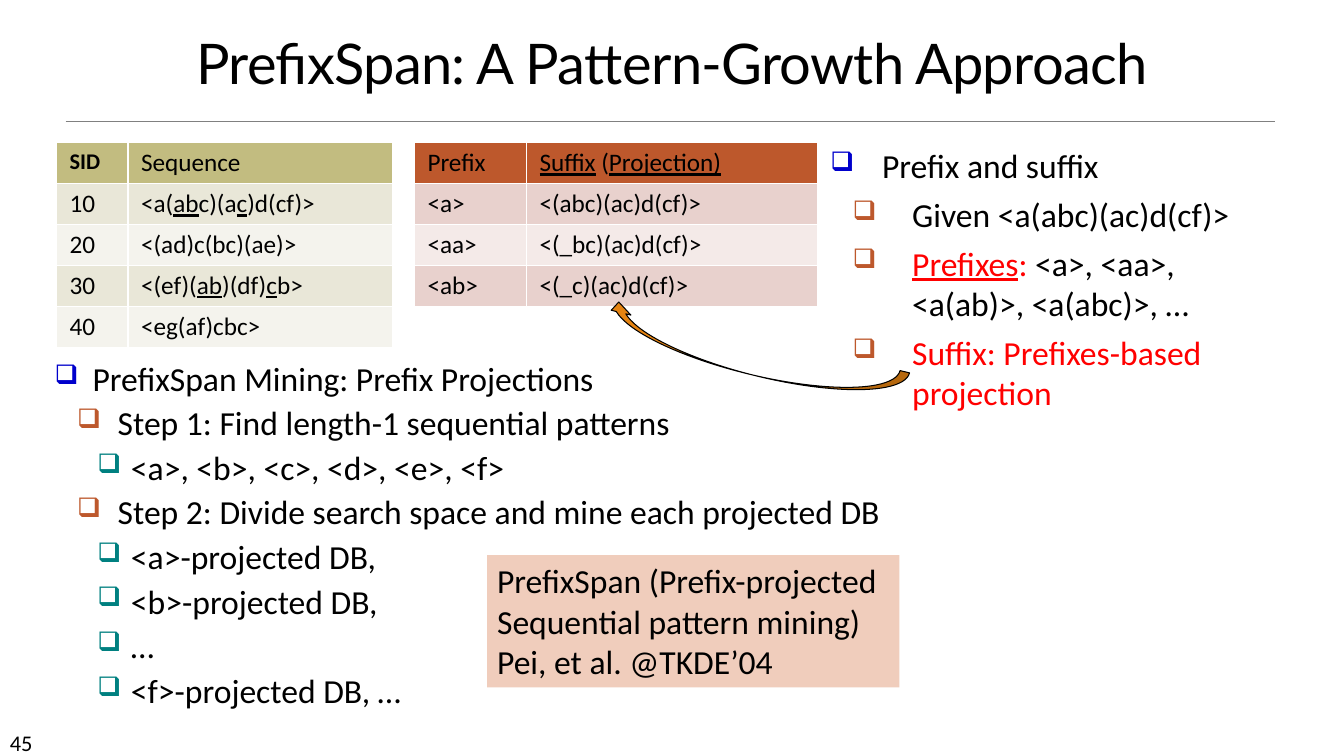
from dataclasses import dataclass
from lxml.etree import SubElement
from pptx import Presentation
from pptx.dml.color import RGBColor
from pptx.enum.shapes import MSO_CONNECTOR, MSO_SHAPE
from pptx.enum.text import MSO_ANCHOR, PP_ALIGN
from pptx.oxml.ns import qn
from pptx.util import Pt


@dataclass
class Theme:
    title_font: str = "Lato"
    body_font: str = "Calibri"
    title_size: int = 40
    body_size: int = 24
    table_size: int = 18
    small_size: int = 16
    ink: str = "000000"
    accent: str = "FF0000"
    rule: str = "808080"
    arrow: str = "E48312"
    note: str = "F0CDBC"
    bullets: tuple = ("0000CC", "BD582C", "008080")
    sequence_fills: tuple = ("C2BC80", "E9E7D8", "F4F3ED")
    suffix_fills: tuple = ("BD582C", "E8D1CD", "F4EAE8")


theme = Theme()


def write(p, text, size=theme.body_size, color=theme.ink, font=theme.body_font,
          bold=False, spacing=None):
    """Add text to a paragraph; parts between bars are underlined."""
    for i, part in enumerate(text.split("|")):
        if not part:
            continue
        r = p.add_run()
        r.text = part
        r.font.name = font
        r.font.size = Pt(size)
        r.font.bold = bold
        r.font.underline = i % 2 == 1
        r.font.color.rgb = RGBColor.from_string(color)
        if spacing is not None:
            r.font._element.set("spc", str(spacing))


def add_text_box(s, left, top, width, height):
    tf = s.shapes.add_textbox(Pt(left), Pt(top), Pt(width), Pt(height)).text_frame
    tf.word_wrap = True
    return tf


prs = Presentation()
prs.slide_width, prs.slide_height = Pt(960), Pt(540)
s = prs.slides.add_slide(prs.slide_layouts[6])

# Title, rule and page number
tf = add_text_box(s, 16, 12, 928, 60)
tf.vertical_anchor = MSO_ANCHOR.BOTTOM
p = tf.paragraphs[0]
p.alignment = PP_ALIGN.CENTER
p.line_spacing = 0.85
write(p, "PrefixSpan: A Pattern-Growth Approach", size=theme.title_size,
      font=theme.title_font, spacing=-50)

rule = s.shapes.add_connector(MSO_CONNECTOR.STRAIGHT, Pt(46.8), Pt(86.6), Pt(910.8), Pt(86.6))
rule.line.color.rgb = RGBColor.from_string(theme.rule)
rule.line.width = Pt(0.5)
SubElement(rule._element.spPr, qn("a:effectLst"))

tf = add_text_box(s, 0, 517, 84, 22)
write(tf.paragraphs[0], "45", size=theme.small_size)

# Tables: header fill first, then two alternating row fills
sequences = [("SID", "Sequence"),
             ("10", "<a(|ab|c)(a|c|)d(cf)>"),
             ("20", "<(ad)c(bc)(ae)>"),
             ("30", "<(ef)(|ab|)(df)|c|b>"),
             ("40", "<eg(af)cbc>")]
projections = [("Prefix", "|Suffix| (|Projection)|"),
               ("<a>", "<(abc)(ac)d(cf)>"),
               ("<aa>", "<(_bc)(ac)d(cf)>"),
               ("<ab>", "<(_c)(ac)d(cf)>")]
row_height = 29.2
for left, widths, rows, fills in [
        (40.4, (51, 189), sequences, theme.sequence_fills),
        (296, (80, 208), projections, theme.suffix_fills)]:
    table = s.shapes.add_table(len(rows), 2, Pt(left), Pt(102), Pt(sum(widths)),
                               Pt(row_height * len(rows))).table
    for column, width in zip(table.columns, widths):
        column.width = Pt(width)
    for i, row in enumerate(rows):
        table.rows[i].height = Pt(row_height)
        fill = fills[0] if i == 0 else fills[2 - i % 2]
        for j, text in enumerate(row):
            cell = table.cell(i, j)
            cell.margin_left = cell.margin_right = Pt(9.4)
            cell.fill.solid()
            cell.fill.fore_color.rgb = RGBColor.from_string(fill)
            is_id = text == "SID"
            write(cell.text_frame.paragraphs[0], text, bold=is_id,
                  size=theme.small_size if is_id else theme.table_size)

# Curved arrow from the suffix definition to the projection table
arrow = s.shapes.add_shape(MSO_SHAPE.CURVED_LEFT_ARROW, Pt(525), Pt(143.3), Pt(28), Pt(221))
arrow.rotation = 103.7
for i, value in enumerate((0.25, 0.516, 0.25)):
    arrow.adjustments[i] = value
arrow.shadow.inherit = False
arrow.fill.solid()
arrow.fill.fore_color.rgb = RGBColor.from_string(theme.arrow)
arrow.line.color.rgb = RGBColor.from_string(theme.ink)
arrow.line.width = Pt(0.75)

# Bulleted lists: (level, runs as text and colour)
ink, accent = theme.ink, theme.accent
mining = [(0, [("PrefixSpan Mining: Prefix Projections", ink)]),
          (1, [("Step 1: Find length-1 sequential patterns", ink)]),
          (2, [("<a>, <b>, <c>, <d>, <e>, <f>", ink)]),
          (1, [("Step 2: Divide search space and mine each projected DB", ink)]),
          (2, [("<a>-projected DB,", ink)]),
          (2, [("<b>-projected DB,", ink)]),
          (2, [("…", ink)]),
          (2, [("<f>-projected DB, …", ink)])]
definitions = [(0, [("Prefix and suffix", ink)]),
               (1, [("Given <a(abc)(ac)d(cf)>", ink)]),
               (1, [("|Prefixes|:", accent), (" <a>, <aa>, <a(ab)>, <a(abc)>, …", ink)]),
               (1, [("Suffix: Prefixes-based projection", accent)])]
for box, gap, indents, items in [
        ((32, 252, 664, 264), 3, ((27, 27), (45, 29), (54.5, 24)), mining),
        ((586, 100, 327, 199), 6, ((37, 37), (58.5, 42.5)), definitions)]:
    tf = add_text_box(s, *box)
    for i, (level, runs) in enumerate(items):
        p = tf.paragraphs[0] if i == 0 else tf.add_paragraph()
        p.level = level
        p.space_before = Pt(gap if i else 0)
        margin, hanging = indents[level]
        pPr = p._p.get_or_add_pPr()
        pPr.set("marL", str(Pt(margin)))
        pPr.set("indent", str(-Pt(hanging)))
        SubElement(SubElement(pPr, qn("a:buClr")), qn("a:srgbClr"), val=theme.bullets[level])
        SubElement(pPr, qn("a:buSzPct"), val="80000")
        SubElement(pPr, qn("a:buChar"), char="❑")
        for text, color in runs:
            write(p, text, color=color)

# Reference note
note = s.shapes.add_shape(MSO_SHAPE.RECTANGLE, Pt(348), Pt(396.6), Pt(294.4), Pt(94.4))
note.shadow.inherit = False
note.fill.solid()
note.fill.fore_color.rgb = RGBColor.from_string(theme.note)
note.line.fill.background()
tf = note.text_frame
tf.word_wrap = True
tf.vertical_anchor = MSO_ANCHOR.TOP
p = tf.paragraphs[0]
p.alignment = PP_ALIGN.LEFT
write(p, "PrefixSpan (Prefix-projected Sequential pattern mining) Pei, et al. @TKDE’04")

prs.save("out.pptx")
